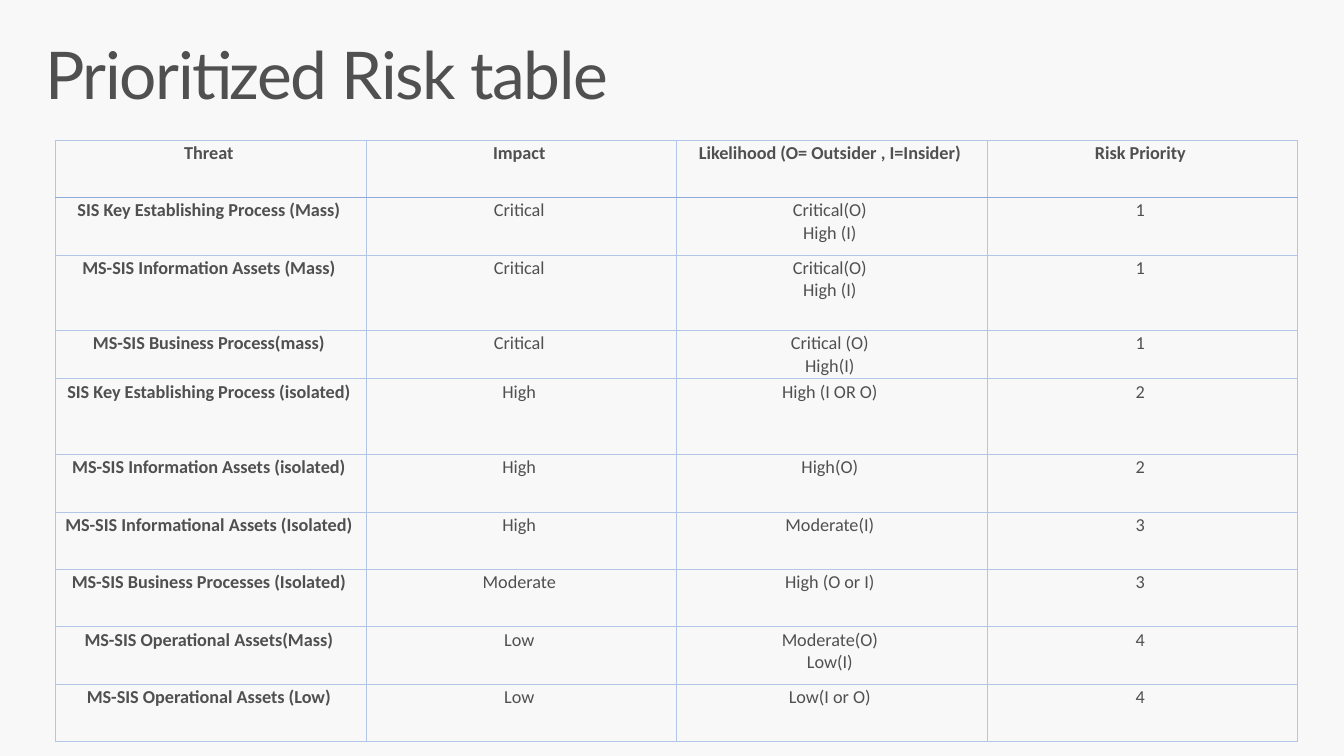
"""Build a slide with a prioritized risk table."""
import pptx
import pptx.dml.color
import pptx.enum.text
import pptx.oxml
import pptx.oxml.ns
import pptx.util

Inches = pptx.util.Inches
Pt = pptx.util.Pt
RGBColor = pptx.dml.color.RGBColor

BACKGROUND = RGBColor(0xF8, 0xF8, 0xF8)
TEXT = RGBColor(0x50, 0x50, 0x50)
GRID = RGBColor(0xB4, 0xC6, 0xE7)
HEADER_RULE = RGBColor(0x8E, 0xAA, 0xDB)

COLUMN_WIDTH = 3.08
ROW_HEIGHTS = [0.57, 0.57, 0.75, 0.48, 0.75] + [0.57] * 5
RISKS = [
    ("Threat", "Impact", "Likelihood (O= Outsider , I=Insider)", "Risk Priority"),
    ("SIS Key Establishing Process (Mass)", "Critical", "Critical(O)\nHigh (I)", "1"),
    ("MS-SIS Information Assets (Mass)", "Critical", "Critical(O)\nHigh (I)", "1"),
    ("MS-SIS Business Process(mass)", "Critical", "Critical (O)\nHigh(I)", "1"),
    ("SIS Key Establishing Process (isolated)", "High", "High (I OR O)", "2"),
    ("MS-SIS Information Assets (isolated)", "High", "High(O)", "2"),
    ("MS-SIS Informational Assets (Isolated)", "High", "Moderate(I)", "3"),
    ("MS-SIS Business Processes (Isolated)", "Moderate", "High (O or I)", "3"),
    ("MS-SIS Operational Assets(Mass)", "Low", "Moderate(O)\nLow(I)", "4"),
    ("MS-SIS Operational Assets (Low)", "Low", "Low(I or O)", "4"),
]


class RiskSlide:
    def __init__(self, presentation):
        self.title_font = "Lato"
        self.table_font = "Calibri"
        self.slide = presentation.slides.add_slide(presentation.slide_layouts[5])
        fill = self.slide.background.fill
        fill.solid()
        fill.fore_color.rgb = BACKGROUND

    def style_font(self, font, name, size, bold):
        font.name = name
        font.size = Pt(size)
        font.bold = bold
        font.color.rgb = TEXT

    def add_title(self, text):
        title = self.slide.shapes.title
        title.left, title.top = Inches(0.29), Inches(0.32)
        title.width, title.height = Inches(12.75), Inches(0.98)
        frame = title.text_frame
        frame.text = text
        frame.word_wrap = True
        frame.auto_size = pptx.enum.text.MSO_AUTO_SIZE.NONE
        frame.vertical_anchor = pptx.enum.text.MSO_ANCHOR.TOP
        frame.margin_left = frame.margin_right = Inches(0.16)
        frame.margin_top = frame.margin_bottom = Inches(0.1)
        paragraph = frame.paragraphs[0]
        paragraph.alignment = pptx.enum.text.PP_ALIGN.LEFT
        paragraph.line_spacing = 0.9
        self.style_font(paragraph.font, self.title_font, 47, False)
        paragraph.runs[0].font._element.set("spc", "-100")

    def add_border(self, cell, side, color, width):
        cell._tc.get_or_add_tcPr().append(pptx.oxml.parse_xml(
            f'<a:ln{side} {pptx.oxml.ns.nsdecls("a")} w="{Pt(width)}">'
            f'<a:solidFill><a:srgbClr val="{color}"/></a:solidFill></a:ln{side}>'))

    def fill_cell(self, cell, text, bold, ruled_sides):
        cell.text = text
        cell.margin_left, cell.margin_right = Inches(0.04), Inches(0.08)
        cell.margin_top = cell.margin_bottom = Inches(0.02)
        for paragraph in cell.text_frame.paragraphs:
            paragraph.alignment = pptx.enum.text.PP_ALIGN.CENTER
            self.style_font(paragraph.font, self.table_font, 13, bold)
        for side in "LRTB":
            color, width = (HEADER_RULE, 1.5) if side in ruled_sides else (GRID, 0.75)
            self.add_border(cell, side, color, width)
        cell.fill.background()

    def add_table(self, rows, left, top):
        columns = len(rows[0])
        table = self.slide.shapes.add_table(
            len(rows), columns, Inches(left), Inches(top),
            Inches(COLUMN_WIDTH * columns), Inches(sum(ROW_HEIGHTS))).table
        table.horz_banding = False
        for column in table.columns:
            column.width = Inches(COLUMN_WIDTH)
        for row_index, values in enumerate(rows):
            table.rows[row_index].height = Inches(ROW_HEIGHTS[row_index])
            ruled_sides = {0: "B", 1: "T"}.get(row_index, "")
            for column_index, value in enumerate(values):
                bold = row_index == 0 or column_index == 0
                self.fill_cell(table.cell(row_index, column_index), value, bold, ruled_sides)


def main():
    presentation = pptx.Presentation()
    presentation.slide_width = Inches(13.33)
    presentation.slide_height = Inches(7.5)
    risk_slide = RiskSlide(presentation)
    risk_slide.add_title("Prioritized Risk table")
    risk_slide.add_table(RISKS, 0.55, 1.39)
    presentation.save("out.pptx")


if __name__ == "__main__":
    main()
